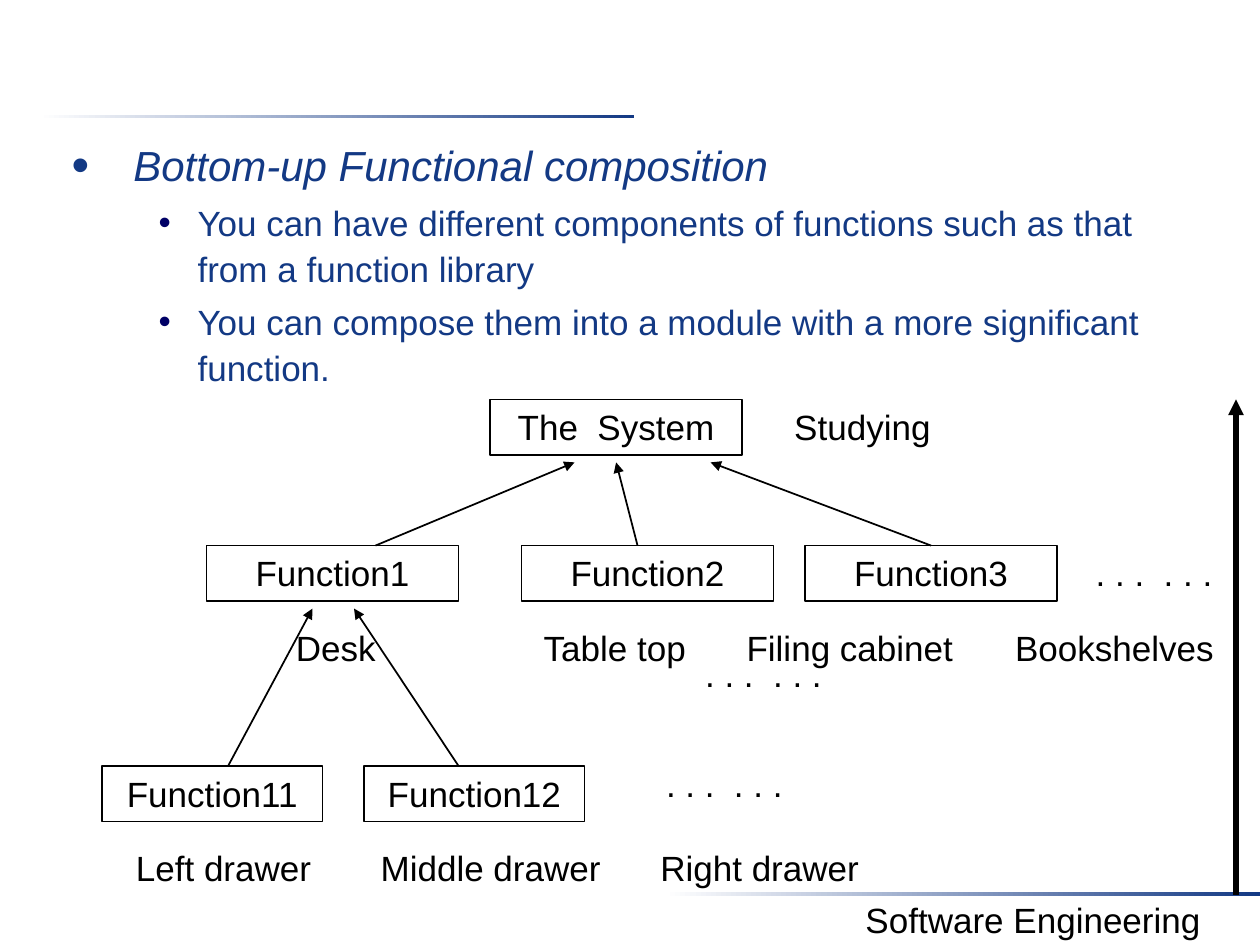
from dataclasses import dataclass
from typing import Optional

from lxml import etree
from pptx import Presentation
from pptx import util as u
from pptx.dml.color import RGBColor
from pptx.enum import shapes, text
from pptx.oxml import ns

BLACK = RGBColor(0x00, 0x00, 0x00)
WHITE = RGBColor(0xFF, 0xFF, 0xFF)
BLUE = RGBColor(0x13, 0x39, 0x84)
NAVY = RGBColor(0x00, 0x00, 0x66)
FONT = "Arial"
ROW_HEIGHT = 0.44
DOTS = ". . .  . . ."


@dataclass
class Box:
    name: str
    left: float
    top: float
    width: float


@dataclass
class Label:
    wording: str
    left: float
    top: float
    width: float


@dataclass
class Arrow:
    start: tuple[float, float]
    end: tuple[float, float]
    source: Optional[str] = None
    weight: float = 1


@dataclass
class Bullet:
    wording: str
    level: int
    size: int
    margin: float
    hanging: float
    before: int
    scale: int
    color: RGBColor


BOXES = [
    Box("The  System", 3.89, 3.17, 2),
    Box("Function1", 1.64, 4.33, 2),
    Box("Function2", 4.14, 4.33, 2),
    Box("Function3", 6.39, 4.33, 2),
    Box("Function11", 0.81, 6.08, 1.75),
    Box("Function12", 2.89, 6.08, 1.75),
]
ARROWS = [
    Arrow((5.06, 4.33), (4.89, 3.67)),
    Arrow((2.98, 4.33), (4.56, 3.67)),
    Arrow((7.39, 4.33), (5.64, 3.67), "Function3"),
    Arrow((1.81, 6.08), (2.48, 4.83)),
    Arrow((3.64, 6.08), (2.81, 4.83)),
    Arrow((9.81, 7.1), (9.81, 3.17), weight=3),
]
LABELS = [
    Label(DOTS, 5.49, 5.13, 1.14),
    Label(DOTS, 5.18, 6, 1.14),
    Label(DOTS, 8.59, 4.33, 1.14),
    Label("Studying", 6.2, 3.17, 1.29),
    Label("Desk", 2.24, 4.92, 0.85),
    Label("Table top", 4.21, 4.92, 1.34),
    Label("Filing cabinet", 5.82, 4.92, 1.85),
    Label("Bookshelves", 7.95, 4.92, 1.79),
    Label("Left drawer", 0.97, 6.67, 1.61),
    Label("Middle drawer", 2.91, 6.67, 1.97),
    Label("Right drawer", 5.13, 6.67, 1.8),
    Label("Software Engineering", 6.4, 7.08, 3.6),
]
BULLETS = [
    Bullet("Bottom-up Functional composition", 0, 24, 0.49, 0.49, 0, 120, BLUE),
    Bullet("You can have different components of functions such as that "
           "from a function library", 1, 20, 1, 0.31, 4, 100, NAVY),
    Bullet("You can compose them into a module with a more significant "
           "function.", 1, 20, 1, 0.31, 4, 100, NAVY),
]


def style_runs(para, size: int, color: RGBColor, italic: bool = False) -> None:
    for span in para.runs:
        span.font.name = FONT
        span.font.size = u.Pt(size)
        span.font.color.rgb = color
        span.font.italic = italic


def write_centred(frame, wording: str) -> None:
    frame.text = wording
    frame.vertical_anchor = text.MSO_ANCHOR.TOP
    para = frame.paragraphs[0]
    para.alignment = text.PP_ALIGN.CENTER
    style_runs(para, 20, BLACK)


def draw_rule(page, left: float, top: float) -> None:
    rule = page.shapes.add_shape(shapes.MSO_SHAPE.RECTANGLE, u.Inches(left),
                                 u.Inches(top), u.Inches(4.72), u.Inches(0.03))
    rule.shadow.inherit = False
    rule.line.fill.background()
    rule.fill.gradient()
    rule.fill.gradient_angle = 0
    for stop, color in zip(rule.fill.gradient_stops, (WHITE, BLUE)):
        stop.color.rgb = color


def draw_box(page, box: Box):
    shape = page.shapes.add_shape(shapes.MSO_SHAPE.RECTANGLE, u.Inches(box.left),
                                  u.Inches(box.top), u.Inches(box.width),
                                  u.Inches(ROW_HEIGHT))
    shape.shadow.inherit = False
    shape.fill.background()
    shape.line.color.rgb = BLACK
    shape.line.width = u.Pt(1)
    write_centred(shape.text_frame, box.name)
    return shape


def draw_label(page, label: Label) -> None:
    shape = page.shapes.add_textbox(u.Inches(label.left), u.Inches(label.top),
                                    u.Inches(label.width), u.Inches(ROW_HEIGHT))
    shape.text_frame.word_wrap = False
    write_centred(shape.text_frame, label.wording)


def draw_arrow(page, arrow: Arrow, boxes: dict) -> None:
    line = page.shapes.add_connector(shapes.MSO_CONNECTOR.STRAIGHT,
                                     *map(u.Inches, arrow.start + arrow.end))
    if arrow.source:
        line.begin_connect(boxes[arrow.source], 0)
    line.line.color.rgb = BLACK
    line.line.width = u.Pt(arrow.weight)
    etree.SubElement(line.line._get_or_add_ln(), ns.qn("a:tailEnd"), type="triangle")
    etree.SubElement(line._element.spPr, ns.qn("a:effectLst"))


def add_bullet(para, bullet: Bullet) -> None:
    para.text = bullet.wording
    para.level = bullet.level
    para.line_spacing = 1.1
    para.space_before = u.Pt(bullet.before)
    props = para._p.get_or_add_pPr()
    props.set("marL", str(u.Inches(bullet.margin)))
    props.set("indent", str(-u.Inches(bullet.hanging)))
    color = etree.SubElement(props, ns.qn("a:buClr"))
    etree.SubElement(color, ns.qn("a:srgbClr"), val=str(bullet.color))
    etree.SubElement(props, ns.qn("a:buSzPct"), val=str(bullet.scale * 1000))
    etree.SubElement(props, ns.qn("a:buFont"), typeface=FONT)
    etree.SubElement(props, ns.qn("a:buChar"), char="•")
    style_runs(para, bullet.size, BLUE, italic=bullet.level == 0)


def draw_body(page) -> None:
    body = page.shapes.add_textbox(u.Inches(0.47), u.Inches(1.02),
                                   u.Inches(9), u.Inches(5.54))
    frame = body.text_frame
    frame.word_wrap = True
    for index, bullet in enumerate(BULLETS):
        para = frame.add_paragraph() if index else frame.paragraphs[0]
        add_bullet(para, bullet)


def main() -> None:
    deck = Presentation()
    deck.slide_width, deck.slide_height = u.Inches(10), u.Inches(7.5)
    page = deck.slides.add_slide(deck.slide_layouts[6])
    draw_rule(page, 0.31, 0.91)
    draw_rule(page, 5.28, 7.08)
    draw_body(page)
    boxes = {box.name: draw_box(page, box) for box in BOXES}
    for arrow in ARROWS:
        draw_arrow(page, arrow, boxes)
    for label in LABELS:
        draw_label(page, label)
    deck.save("out.pptx")


if __name__ == "__main__":
    main()
